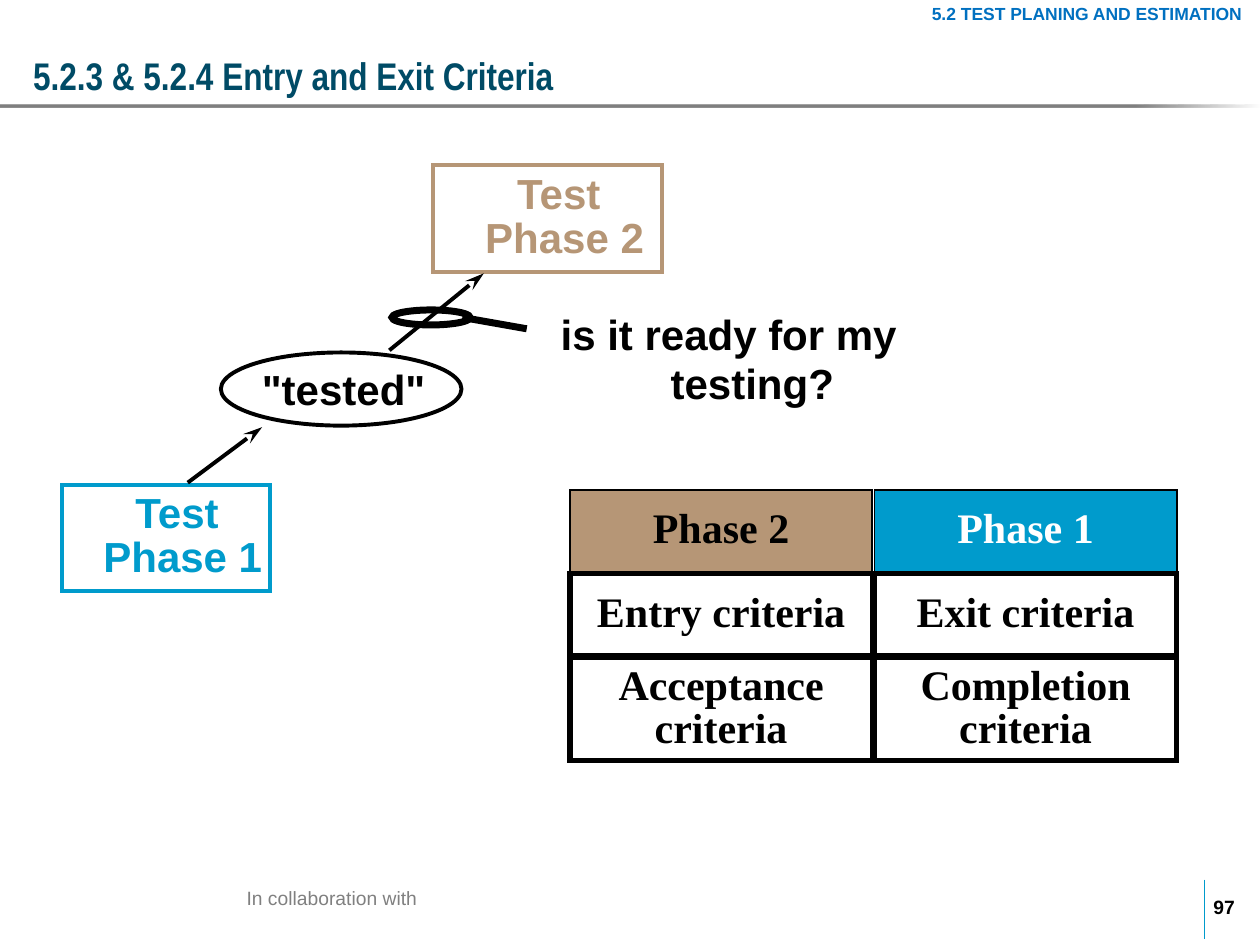
from dataclasses import dataclass

from lxml import etree
from pptx import Presentation
from pptx.dml.color import RGBColor
from pptx.enum.shapes import MSO_CONNECTOR, MSO_SHAPE
from pptx.enum.text import MSO_ANCHOR, MSO_AUTO_SIZE, PP_ALIGN
from pptx.oxml.ns import qn
from pptx.util import Pt

RECTANGLE, OVAL = MSO_SHAPE.RECTANGLE, MSO_SHAPE.OVAL
STRAIGHT = MSO_CONNECTOR.STRAIGHT
TOP, MIDDLE, BOTTOM = MSO_ANCHOR.TOP, MSO_ANCHOR.MIDDLE, MSO_ANCHOR.BOTTOM
LEFT, CENTER = PP_ALIGN.LEFT, PP_ALIGN.CENTER
FIXED_SIZE, GROW = MSO_AUTO_SIZE.NONE, MSO_AUTO_SIZE.SHAPE_TO_FIT_TEXT

BLACK, WHITE, GRAY = "000000", "FFFFFF", "808080"
BLUE, TAN, TEAL, HEADER_BLUE = "009BCC", "B69676", "004B66", "0070C0"
DEFAULT_INSETS = (7.2, 3.6, 7.2, 3.6)
LABEL_INSETS = (5, 2.2, 5, 2.2)


@dataclass
class Box:
    left: float
    top: float
    width: float
    height: float


@dataclass
class TextStyle:
    size: float = 24
    color: str = BLACK
    font: str = "Arial"
    bold: bool = True
    align: PP_ALIGN = CENTER
    anchor: MSO_ANCHOR = TOP
    spacing: float = 0.87
    insets: tuple = LABEL_INSETS
    wrap: bool = False
    sizing: MSO_AUTO_SIZE = GROW


@dataclass
class Label:
    box: Box
    lines: list
    style: TextStyle


@dataclass
class Outline:
    kind: MSO_SHAPE
    box: Box
    color: str
    weight: float = 2.25


@dataclass
class Line:
    start: tuple
    end: tuple
    color: str = BLACK
    weight: float = 2.25
    arrow: bool = False


@dataclass
class Cell:
    text: str
    fill: str = ""
    color: str = BLACK


def rgb(color: str) -> RGBColor:
    return RGBColor.from_string(color)


def write_text(shape, lines: list, style: TextStyle) -> None:
    frame = shape.text_frame
    frame.word_wrap = style.wrap
    frame.auto_size = style.sizing
    frame.vertical_anchor = style.anchor
    frame.margin_left, frame.margin_top, frame.margin_right, frame.margin_bottom = map(Pt, style.insets)
    for index, line in enumerate(lines):
        paragraph = frame.add_paragraph() if index else frame.paragraphs[0]
        paragraph.text = line
        paragraph.alignment = style.align
        paragraph.line_spacing = style.spacing
        paragraph.font.size = Pt(style.size)
        paragraph.font.name = style.font
        paragraph.font.bold = style.bold
        paragraph.font.color.rgb = rgb(style.color)


def add_label(slide, label: Label):
    box = label.box
    shape = slide.shapes.add_textbox(Pt(box.left), Pt(box.top), Pt(box.width), Pt(box.height))
    write_text(shape, label.lines, label.style)
    return shape


def add_outline(slide, outline: Outline):
    box = outline.box
    shape = slide.shapes.add_shape(outline.kind, Pt(box.left), Pt(box.top), Pt(box.width), Pt(box.height))
    shape.shadow.inherit = False
    shape.fill.background()
    shape.line.color.rgb = rgb(outline.color)
    shape.line.width = Pt(outline.weight)
    etree.SubElement(shape._element.spPr.find(qn("a:ln")), qn("a:miter"), lim="800000")
    return shape


def add_line(slide, line: Line) -> None:
    connector = slide.shapes.add_connector(STRAIGHT, *map(Pt, line.start + line.end))
    connector.line.color.rgb = rgb(line.color)
    connector.line.width = Pt(line.weight)
    properties = connector._element.spPr
    etree.SubElement(properties, qn("a:effectLst"))
    if line.arrow:
        etree.SubElement(properties.find(qn("a:ln")), qn("a:tailEnd"), type="stealth", w="med", len="lg")


def add_title_rule(slide) -> None:
    rule = add_outline(slide, Outline(RECTANGLE, Box(0, 59.8, 720, 1.7), GRAY))
    rule.line.fill.background()
    rule.fill.gradient()
    rule.fill.gradient_angle = 0
    for stop, position in zip(rule.fill.gradient_stops, (0.9, 1)):
        stop.color.rgb = rgb(GRAY)
        stop.position = position
    last_color = rule._element.spPr.findall(".//" + qn("a:srgbClr"))[-1]
    etree.SubElement(last_color, qn("a:alpha"), val="0")


def add_criteria_grid(slide, rows: list) -> None:
    for row_index, row in enumerate(rows):
        height = 59 if row_index == len(rows) - 1 else 46.8
        for column_index, cell in enumerate(row):
            box = Box(325.7 + 174 * column_index, 279.8 + 48 * row_index, 172.8, height)
            shape = add_outline(slide, Outline(RECTANGLE, box, BLACK, 1 if cell.fill else 3))
            if cell.fill:
                shape.fill.solid()
                shape.fill.fore_color.rgb = rgb(cell.fill)
            style = TextStyle(color=cell.color, font="Times New Roman", anchor=MIDDLE,
                              spacing=0.85, insets=DEFAULT_INSETS, sizing=FIXED_SIZE)
            write_text(shape, [cell.text], style)


OUTLINES = [
    Outline(RECTANGLE, Box(35.3, 277, 119, 61), BLUE),
    Outline(RECTANGLE, Box(247.3, 94.3, 131, 61), TAN),
    Outline(OVAL, Box(126.2, 201.4, 137.5, 41.8), BLACK),
    Outline(OVAL, Box(224, 177.1, 44.6, 8.6), BLACK, 4),
]
LINES = [
    Line((688.4, 502.6), (688.4, 536.4), BLUE, 0.75),
    Line((107.3, 275.8), (149.8, 244.1), arrow=True),
    Line((222.5, 200.2), (276.5, 156.2), arrow=True),
    Line((264.2, 181.4), (301, 187.9), weight=4),
]
LABELS = [
    Label(Box(133.2, 504.7, 113, 18.7), ["In collaboration with"],
          TextStyle(11, GRAY, bold=False, spacing=0.85, insets=DEFAULT_INSETS)),
    Label(Box(18.9, 16.6, 686, 43.2), ["5.2.3 & 5.2.4 Entry and Exit Criteria"],
          TextStyle(22, TEAL, "Arial Narrow", align=LEFT, anchor=BOTTOM, spacing=1,
                    insets=(0, 3.6, 7.2, 3.6), wrap=True, sizing=FIXED_SIZE)),
    Label(Box(43.5, 280, 115.3, 54), ["Test", " Phase 1"], TextStyle(color=BLUE)),
    Label(Box(261.7, 97.6, 115.3, 54), ["Test", " Phase 2"], TextStyle(color=TAN)),
    Label(Box(144.5, 209.5, 103.7, 28.8), ['"tested"'], TextStyle()),
    Label(Box(522, 0, 198, 17.3), ["5.2 TEST PLANING AND ESTIMATION"],
          TextStyle(10, HEADER_BLUE, spacing=0.85, insets=DEFAULT_INSETS, wrap=True)),
    Label(Box(690.5, 512.5, 20.2, 11.5), ["97"],
          TextStyle(11, align=LEFT, anchor=MIDDLE, spacing=1, insets=(2.9, 0, 3.6, 0))),
]
QUESTION = Label(Box(301.9, 176.2, 229, 59), ["is it ready for my testing?"],
                 TextStyle(spacing=0.96, wrap=True))
CRITERIA = [
    [Cell("Phase 2", TAN), Cell("Phase 1", BLUE, WHITE)],
    [Cell("Entry criteria"), Cell("Exit criteria")],
    [Cell("Acceptance\ncriteria"), Cell("Completion\ncriteria")],
]


def main() -> None:
    presentation = Presentation()
    presentation.slide_width, presentation.slide_height = Pt(720), Pt(540)
    slide = presentation.slides.add_slide(presentation.slide_layouts[6])
    add_title_rule(slide)
    for outline in OUTLINES:
        add_outline(slide, outline)
    for line in LINES:
        add_line(slide, line)
    for label in LABELS:
        add_label(slide, label)
    question = add_label(slide, QUESTION)
    indents = question.text_frame.paragraphs[0]._p.get_or_add_pPr()
    indents.set("marL", str(Pt(27)))
    indents.set("indent", str(Pt(-27)))
    add_criteria_grid(slide, CRITERIA)
    presentation.save("out.pptx")


if __name__ == "__main__":
    main()
